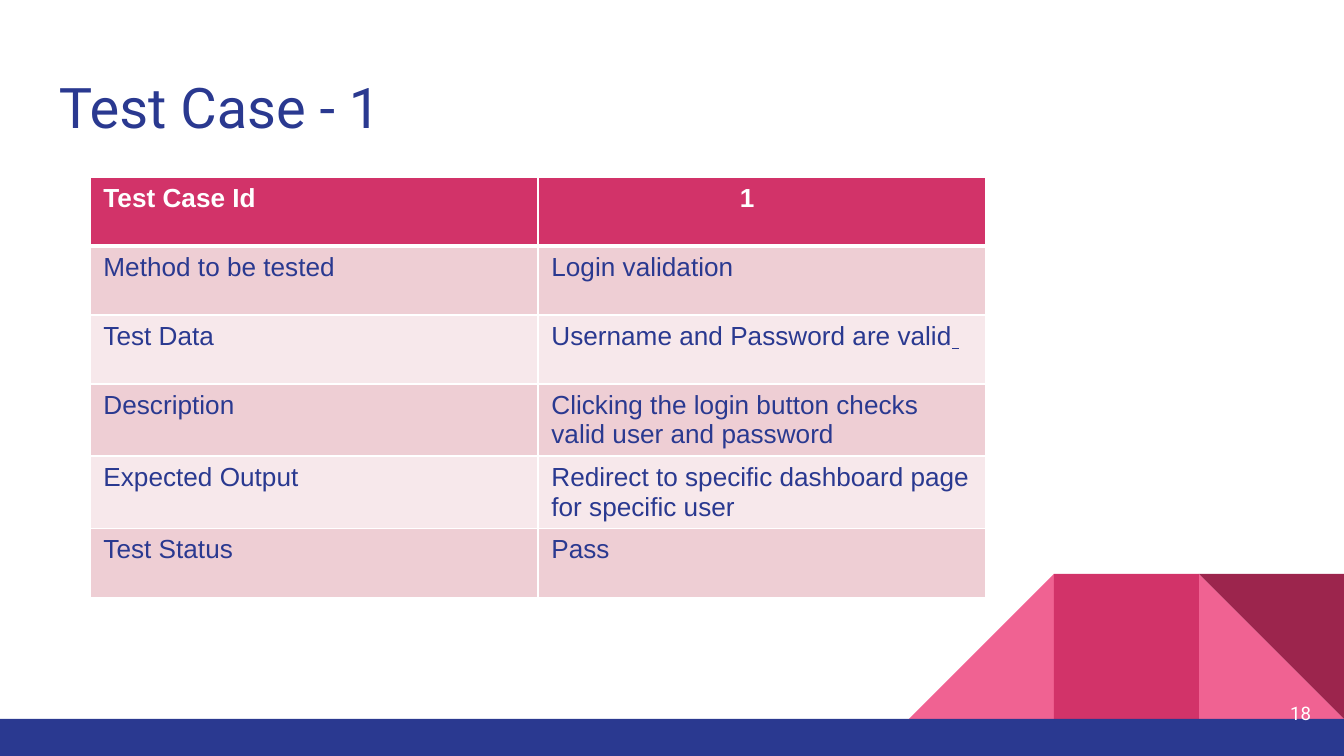
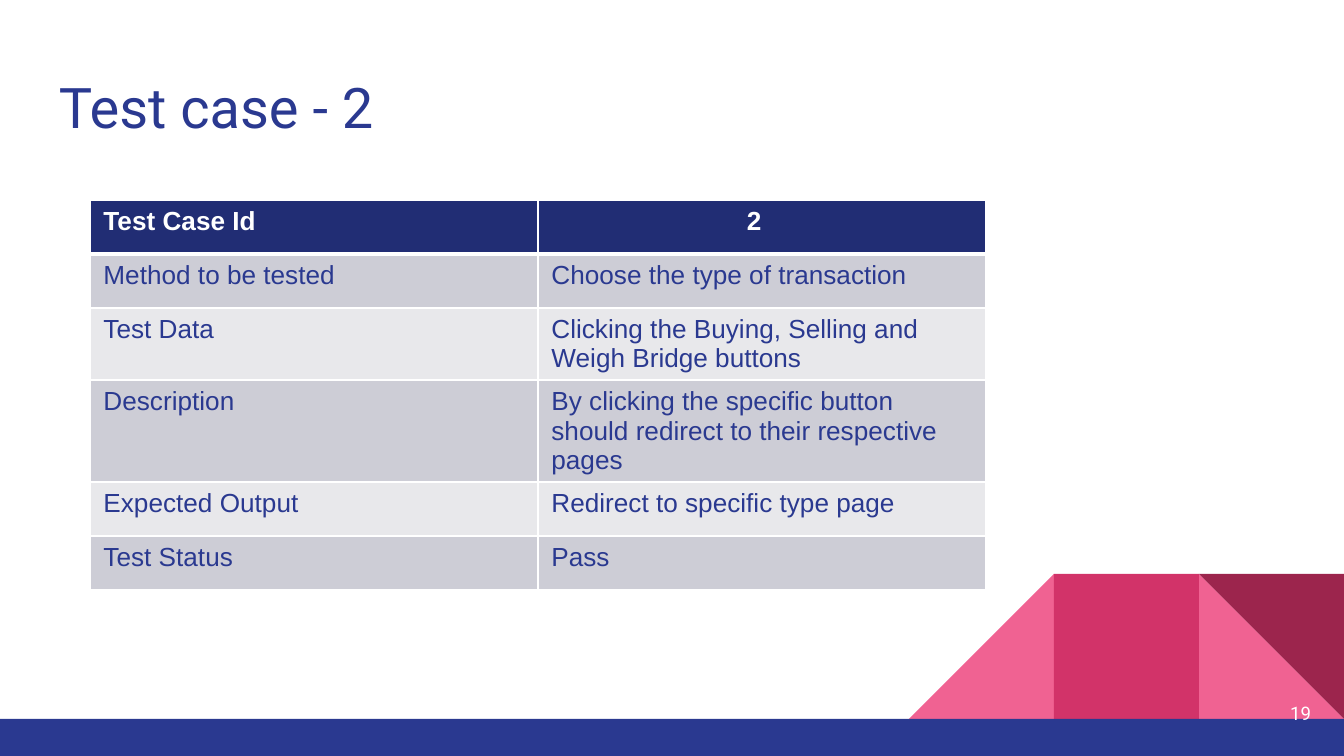
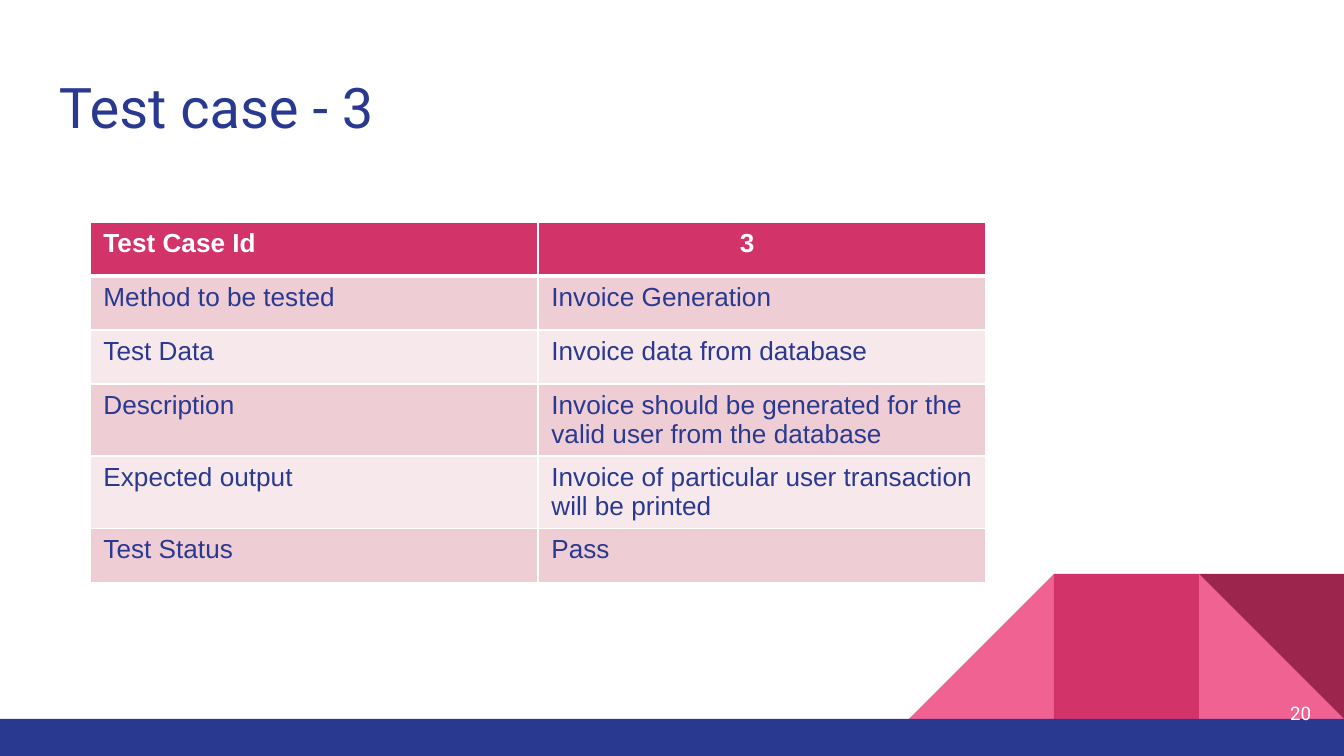
from lxml import etree
from pptx import Presentation
from pptx import util as u
from pptx.dml.color import RGBColor
from pptx.enum import shapes, text
from pptx.oxml.ns import qn

WHITE = RGBColor(0xFF, 0xFF, 0xFF)
NAVY = RGBColor(0x2A, 0x39, 0x90)
DEEP_NAVY = RGBColor(0x21, 0x2D, 0x74)
PINK = RGBColor(0xF0, 0x62, 0x92)
ROSE = RGBColor(0xD2, 0x33, 0x69)
WINE = RGBColor(0x9C, 0x25, 0x4D)

ROSE_TABLE = (ROSE, RGBColor(0xEE, 0xCE, 0xD4), RGBColor(0xF7, 0xE8, 0xEB))
NAVY_TABLE = (DEEP_NAVY, RGBColor(0xCD, 0xCD, 0xD6), RGBColor(0xE8, 0xE8, 0xEB))

HEADING_FONT, TABLE_FONT = "Roboto", "Arial"
FIRST_NUMBER = 18

CASES = [
    dict(title="Test Case - 1", top=177, row_height=69, id_indent=189, colors=ROSE_TABLE, rows=[
        ("Test Case Id", "1"),
        ("Method to be tested", "Login validation"),
        ("Test Data", ("Username and Password are valid", " ")),
        ("Description", "Clicking the login button checks valid user and password"),
        ("Expected Output", "Redirect to specific dashboard page for specific user"),
        ("Test Status", "Pass"),
    ]),
    dict(title="Test case - 2", top=200, row_height=54, id_indent=196, colors=NAVY_TABLE, rows=[
        ("Test Case Id", "2"),
        ("Method to be tested", "Choose the type of transaction"),
        ("Test Data", "Clicking the Buying, Selling and Weigh Bridge buttons"),
        ("Description", "By clicking the specific button should redirect to their respective pages"),
        ("Expected Output", "Redirect to specific type page"),
        ("Test Status", "Pass"),
    ]),
    dict(title="Test case - 3", top=222, row_height=54, id_indent=189, colors=ROSE_TABLE, rows=[
        ("Test Case Id", "3"),
        ("Method to be tested", "Invoice Generation"),
        ("Test Data", "Invoice data from database"),
        ("Description", "Invoice should be generated for the valid user from the database"),
        ("Expected output", "Invoice of particular user transaction will be printed"),
        ("Test Status", "Pass"),
    ]),
]

WIDTH, HEIGHT = 1344, 756
BAR_TOP, TILE = 719, 145
TABLE_LEFT, COLUMN = 90, 448
INSET, CELL_INSET = 13, 13


def px(n):
    return u.Emu(round(n * 914400 / 134.4))


def box(x, y, w, h):
    return px(x), px(y), px(w), px(h)


def set_font(p, name, size, color, bold=False):
    p.font.name, p.font.size, p.font.bold = name, u.Pt(size), bold
    p.font.color.rgb = color


def set_frame(tf, anchor):
    tf.word_wrap = True
    tf.auto_size = text.MSO_AUTO_SIZE.NONE
    tf.vertical_anchor = anchor
    tf.margin_left = tf.margin_right = tf.margin_top = tf.margin_bottom = px(INSET)


def add_decoration(slide, layout):
    for ph in list(layout.placeholders):
        if ph.placeholder_format.type != shapes.PP_PLACEHOLDER.TITLE:
            ph.element.getparent().remove(ph.element)
    triangle, rect = shapes.MSO_SHAPE.RIGHT_TRIANGLE, shapes.MSO_SHAPE.RECTANGLE
    tile_top = BAR_TOP - TILE
    left, middle, right = (WIDTH - n * TILE for n in (3, 2, 1))
    parts = [
        (triangle, (right, tile_top, TILE, TILE), PINK, 0, False),
        (triangle, (left, tile_top, TILE, TILE), PINK, 0, True),
        (rect, (middle, tile_top, TILE, TILE), ROSE, 0, False),
        (triangle, (right, tile_top, TILE, TILE), WINE, 180, False),
        (rect, (0, BAR_TOP, WIDTH, HEIGHT - BAR_TOP), NAVY, 0, False),
    ]
    group = slide.shapes.add_group_shape()
    for kind, place, color, rotation, flipped in parts:
        sp = group.shapes.add_shape(kind, *box(*place))
        sp.shadow.inherit = False
        sp.fill.solid()
        sp.fill.fore_color.rgb = color
        sp.line.fill.background()
        sp.rotation = rotation
        if flipped:
            sp.element.spPr.find(qn("a:xfrm")).set("flipH", "1")
    layout.shapes.element.append(group.element)


def add_title(slide, title):
    sp = slide.shapes.title
    sp.left, sp.top, sp.width, sp.height = box(46, 60, 1252, 89)
    set_frame(sp.text_frame, text.MSO_ANCHOR.TOP)
    p = sp.text_frame.paragraphs[0]
    p.text, p.alignment = title, text.PP_ALIGN.LEFT
    set_font(p, HEADING_FONT, 30, NAVY)


def add_number(slide, number):
    tf = slide.shapes.add_textbox(*box(1243, 684, 81, 58)).text_frame
    set_frame(tf, text.MSO_ANCHOR.MIDDLE)
    p = tf.paragraphs[0]
    p.text, p.alignment = str(number), text.PP_ALIGN.RIGHT
    set_font(p, HEADING_FONT, 10, WHITE)


def set_borders(cell, top, bottom):
    tcPr = cell._tc.get_or_add_tcPr()
    for side, width in (("L", 1), ("R", 1), ("T", top), ("B", bottom)):
        ln = etree.SubElement(tcPr, qn("a:ln" + side), w=str(u.Pt(width)))
        fill = etree.SubElement(ln, qn("a:solidFill"))
        etree.SubElement(fill, qn("a:srgbClr"), val=str(WHITE))


def fill_cell(cell, content, row, colors):
    header, odd, even = colors
    set_borders(cell, 3 if row == 1 else 1, 3 if row == 0 else 1)
    cell.fill.solid()
    cell.fill.fore_color.rgb = header if row == 0 else odd if row % 2 else even
    p = cell.text_frame.paragraphs[0]
    plain, underlined = (content, "") if isinstance(content, str) else content
    p.add_run().text = plain
    if underlined:
        r = p.add_run()
        r.text, r.font.underline = underlined, True
    set_font(p, TABLE_FONT, 14, WHITE if row == 0 else NAVY, row == 0)


def add_case_table(slide, case):
    rows = case["rows"]
    place = box(TABLE_LEFT, case["top"], 2 * COLUMN, case["row_height"] * len(rows))
    table = slide.shapes.add_table(len(rows), 2, *place).table
    for i, row in enumerate(rows):
        for j, content in enumerate(row):
            fill_cell(table.cell(i, j), content, i, case["colors"])
    table.cell(0, 1).margin_left = px(CELL_INSET + case["id_indent"])


def main():
    prs = Presentation()
    prs.slide_width, prs.slide_height = px(WIDTH), px(HEIGHT)
    layout = prs.slide_layouts[5]
    for i, case in enumerate(CASES):
        slide = prs.slides.add_slide(layout)
        if i == 0:
            add_decoration(slide, layout)
        add_title(slide, case["title"])
        add_case_table(slide, case)
        add_number(slide, FIRST_NUMBER + i)
    prs.save("out.pptx")


if __name__ == "__main__":
    main()
